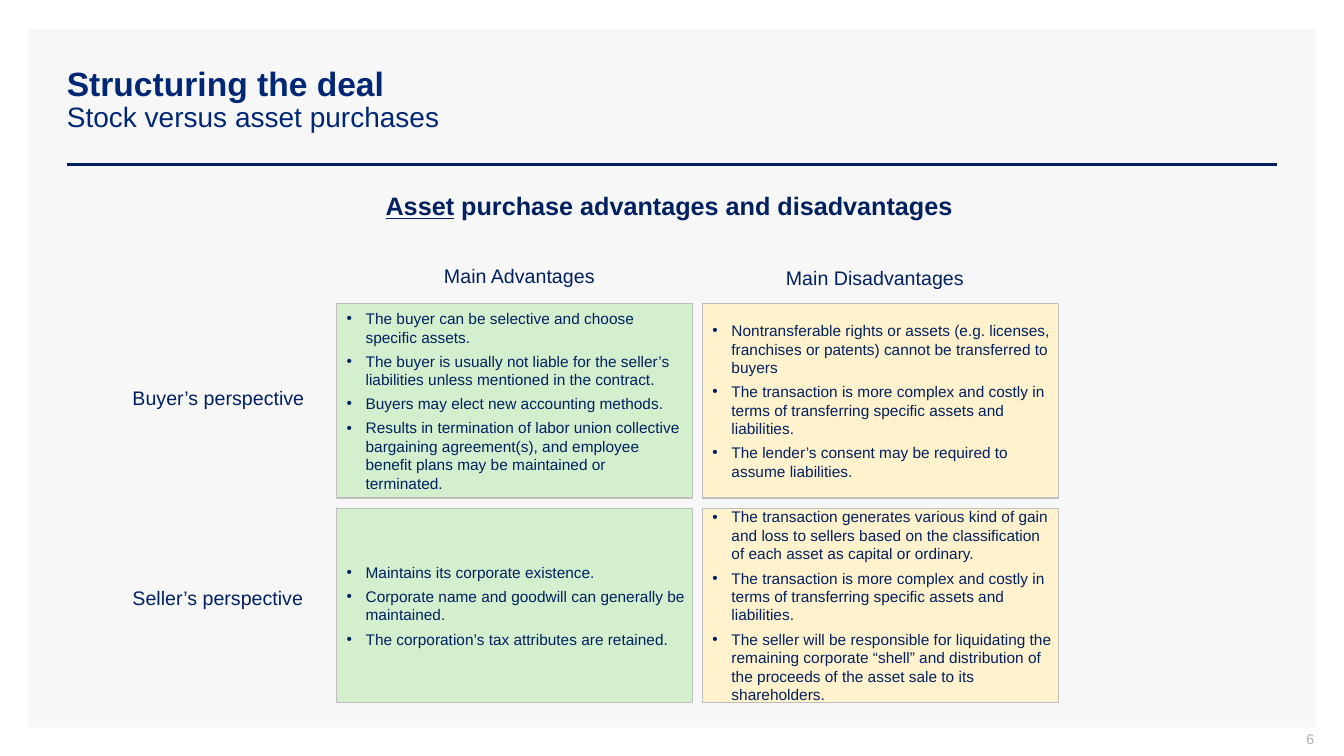
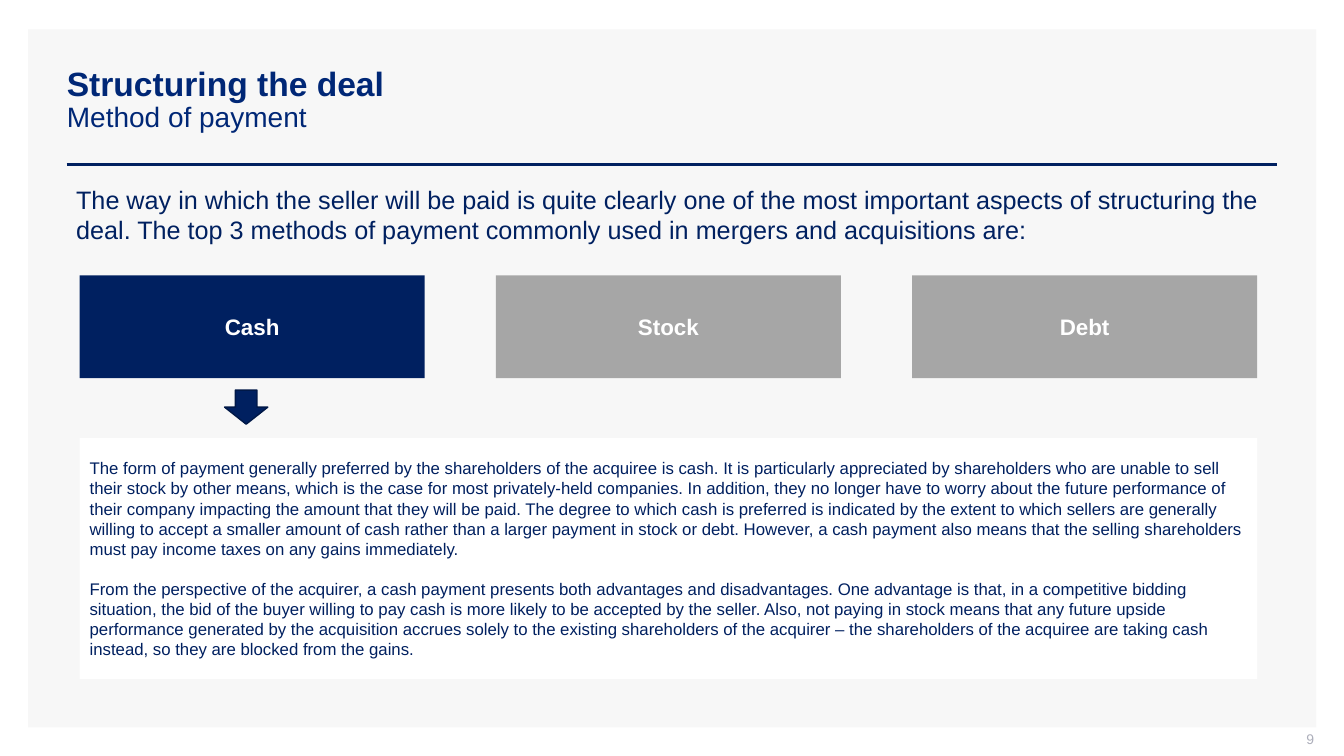
from typing import NamedTuple

from lxml import etree
from pptx import Presentation
from pptx import util as u
from pptx.dml.color import RGBColor
from pptx.enum import shapes, text
from pptx.oxml import ns

FONT = "Arial"
NAVY, TITLE_BLUE, ARROW_EDGE = "002060", "002776", "001847"
WHITE, PANEL, GREY, EDGE, NUMBER_GREY = "FFFFFF", "F7F7F7", "A6A6A6", "BFBFBF", "ADAFBB"
GREEN, YELLOW = "D3EFCE", "FFF2CC"
LEFT, CENTER, RIGHT = text.PP_ALIGN.LEFT, text.PP_ALIGN.CENTER, text.PP_ALIGN.RIGHT
TOP, MIDDLE = text.MSO_ANCHOR.TOP, text.MSO_ANCHOR.MIDDLE
COMPARISON_LAYOUT, TITLE_ONLY_LAYOUT = 4, 5


class Box(NamedTuple):
    """Left, top, width and height in centimetres."""
    left: float
    top: float
    width: float
    height: float


class Style(NamedTuple):
    size: float
    color: str = NAVY
    bold: bool = False
    align: text.PP_ALIGN = LEFT
    anchor: text.MSO_ANCHOR = TOP


class Label(NamedTuple):
    words: str
    box: Box
    align: text.PP_ALIGN


class Cell(NamedTuple):
    column: int
    row: int
    bullets: list[str]


class Card(NamedTuple):
    words: str
    fill: str


TITLE_BOX = Box(1.43, 1.02, 30.76, 3.02)
NUMBER_BOX = Box(25.5, 18.42, 7.62, 0.53)
CELL_BOX = Box(8.48, 7.65, 8.97, 4.9)
CELL_PITCH_X, CELL_PITCH_Y = 9.22, 5.16
CARD_BOX = Box(2.01, 6.94, 8.69, 2.59)
CARD_PITCH = 10.49

LABELS = [
    Label("Main Advantages", Box(10.09, 6.52, 6, 0.86), CENTER),
    Label("Main Disadvantages", Box(19.05, 6.58, 6, 0.86), CENTER),
    Label("Buyer’s perspective", Box(3.09, 9.6, 5.2, 0.86), LEFT),
    Label("Seller’s perspective", Box(3.09, 14.64, 5.2, 0.86), LEFT),
]
COMPLEXITY = ("The transaction is more complex and costly in terms of transferring "
              "specific assets and liabilities.")
CELLS = [
    Cell(0, 0, [
        "The buyer can be selective and choose specific assets.",
        "The buyer is usually not liable for the seller’s liabilities unless "
        "mentioned in the contract.",
        "Buyers may elect new accounting methods.",
        "Results in termination of labor union collective bargaining agreement(s), "
        "and employee benefit plans may be maintained or terminated.",
    ]),
    Cell(1, 0, [
        "Nontransferable rights or assets (e.g. licenses, franchises or patents) "
        "cannot be transferred to buyers",
        COMPLEXITY,
        "The lender’s consent may be required to assume liabilities.",
    ]),
    Cell(0, 1, [
        "Maintains its corporate existence.",
        "Corporate name and goodwill can generally be maintained.",
        "The corporation’s tax attributes are retained.",
    ]),
    Cell(1, 1, [
        "The transaction generates various kind of gain and loss to sellers based on "
        "the classification of each asset as capital or ordinary.",
        COMPLEXITY,
        "The seller will be responsible for liquidating the remaining corporate “shell” "
        "and distribution of the proceeds of the asset sale to its shareholders.",
    ]),
]
CARDS = [Card("Cash", NAVY), Card("Stock", GREY), Card("Debt", GREY)]
INTRO = ("The way in which the seller will be paid is quite clearly one of the most "
         "important aspects of structuring the deal. The top 3 methods of payment "
         "commonly used in mergers and acquisitions are:")
CASH_DETAILS = [
    "The form of payment generally preferred by the shareholders of the acquiree is cash. "
    "It is particularly appreciated by shareholders who are unable to sell their stock by "
    "other means, which is the case for most privately-held companies. In addition, they no "
    "longer have to worry about the future performance of their company impacting the amount "
    "that they will be paid. The degree to which cash is preferred is indicated by the extent "
    "to which sellers are generally willing to accept a smaller amount of cash rather than a "
    "larger payment in stock or debt. However, a cash payment also means that the selling "
    "shareholders must pay income taxes on any gains immediately.",
    "From the perspective of the acquirer, a cash payment presents both advantages and "
    "disadvantages. One advantage is that, in a competitive bidding situation, the bid of the "
    "buyer willing to pay cash is more likely to be accepted by the seller. Also, not paying "
    "in stock means that any future upside performance generated by the acquisition accrues "
    "solely to the existing shareholders of the acquirer – the shareholders of the acquiree "
    "are taking cash instead, so they are blocked from the gains.",
]


def rgb(color: str) -> RGBColor:
    return RGBColor.from_string(color)


def place(shape, box: Box) -> None:
    shape.left, shape.top, shape.width, shape.height = map(u.Cm, box)


def paint(shape, fill: str, line: str | None = None, width: float = 0.75) -> None:
    shape.fill.solid()
    shape.fill.fore_color.rgb = rgb(fill)
    if line:
        shape.line.color.rgb = rgb(line)
        shape.line.width = u.Pt(width)
    else:
        shape.line.fill.background()


def format_run(run, size: float, color: str, bold: bool) -> None:
    run.font.name = FONT
    run.font.size = u.Pt(size)
    run.font.bold = bold
    run.font.color.rgb = rgb(color)


def write(shape, words: str, style: Style) -> None:
    """Fill the shape with text, one paragraph per line of words."""
    frame = shape.text_frame
    frame.text = words
    frame.word_wrap = True
    frame.auto_size = text.MSO_AUTO_SIZE.NONE
    frame.vertical_anchor = style.anchor
    for paragraph in frame.paragraphs:
        paragraph.alignment = style.align
        for run in paragraph.runs:
            format_run(run, style.size, style.color, style.bold)


def add_text(slide, box: Box, words: str, style: Style):
    shape = slide.shapes.add_textbox(*map(u.Cm, box))
    write(shape, words, style)
    return shape


def add_block(slide, box: Box, fill: str, line: str | None = None, width: float = 0.75,
              kind=shapes.MSO_SHAPE.RECTANGLE):
    shape = slide.shapes.add_shape(kind, *map(u.Cm, box))
    shape.shadow.inherit = False
    paint(shape, fill, line, width)
    return shape


def add_bullets(paragraphs) -> None:
    for index, paragraph in enumerate(paragraphs):
        properties = paragraph._p.get_or_add_pPr()
        properties.set("marL", str(u.Cm(0.48)))
        properties.set("indent", str(-u.Cm(0.48)))
        paragraph.space_before = u.Pt(2 if index else 0)
        paragraph.space_after = u.Pt(2)
        color = etree.SubElement(properties, ns.qn("a:buClr"))
        etree.SubElement(color, ns.qn("a:srgbClr"), val=NAVY)
        etree.SubElement(properties, ns.qn("a:buFont"), typeface=FONT)
        etree.SubElement(properties, ns.qn("a:buChar"), char="•")


def style_master(presentation, slide) -> None:
    """Set the title style and move the panel and rule, drawn on slide, to the master."""
    panel = add_block(slide, Box(0.71, 0.74, 32.46, 17.59), PANEL)
    rule = slide.shapes.add_connector(shapes.MSO_CONNECTOR.STRAIGHT,
                                      u.Cm(1.68), u.Cm(4.14), u.Cm(32.18), u.Cm(4.14))
    rule.line.color.rgb = rgb(NAVY)
    rule.line.width = u.Pt(2)
    etree.SubElement(rule.element.spPr, ns.qn("a:effectLst"))
    master = presentation.slide_master
    for offset, shape in enumerate((panel, rule)):
        shape.element.xpath(".//p:cNvPr")[0].set("id", str(100 + offset))
        master.shapes.element.insert(2 + offset, shape.element)
    title_font = master.element.xpath("p:txStyles/p:titleStyle/a:lvl1pPr/a:defRPr")[0]
    title_font.set("sz", "2400")


def add_slide(presentation, layout: int, subtitle: str, number: int):
    slide = presentation.slides.add_slide(presentation.slide_layouts[layout])
    title = slide.shapes.title
    place(title, TITLE_BOX)
    write(title, f"Structuring the deal\v{subtitle}", Style(24, TITLE_BLUE, True, anchor=MIDDLE))
    paragraph = title.text_frame.paragraphs[0]
    paragraph.line_spacing = 0.9
    format_run(paragraph.runs[1], 20, TITLE_BLUE, False)
    footer = add_text(slide, NUMBER_BOX, str(number),
                      Style(10, NUMBER_GREY, align=RIGHT, anchor=MIDDLE))
    frame = footer.text_frame
    frame.margin_top = frame.margin_right = 0
    return slide


def fill_cell(body, cell: Cell) -> None:
    place(body, CELL_BOX._replace(left=CELL_BOX.left + cell.column * CELL_PITCH_X,
                                  top=CELL_BOX.top + cell.row * CELL_PITCH_Y))
    paint(body, (GREEN, YELLOW)[cell.column], EDGE)
    write(body, "\n".join(cell.bullets), Style(11, anchor=MIDDLE))
    frame = body.text_frame
    frame.margin_top = frame.margin_bottom = 0
    frame.margin_right = u.Cm(0.15)
    add_bullets(frame.paragraphs)


def fill_comparison(slide) -> None:
    heading = add_text(slide, Box(9.08, 4.67, 15.57, 1.02), "Asset",
                       Style(18, bold=True, align=CENTER))
    paragraph = heading.text_frame.paragraphs[0]
    paragraph.runs[0].font.underline = True
    rest = paragraph.add_run()
    rest.text = " purchase advantages and disadvantages"
    format_run(rest, 18, NAVY, True)
    for label in LABELS:
        add_text(slide, label.box, label.words, Style(14, align=label.align))
    for index, cell in enumerate(CELLS, start=1):
        fill_cell(slide.placeholders[index], cell)


def fill_payment(slide) -> None:
    add_text(slide, Box(1.67, 4.52, 30.51, 1.8), INTRO, Style(18))
    for index, card in enumerate(CARDS):
        box = CARD_BOX._replace(left=CARD_BOX.left + index * CARD_PITCH)
        block = add_block(slide, box, card.fill)
        write(block, card.words, Style(16, WHITE, True, CENTER, MIDDLE))
    add_block(slide, Box(5.66, 9.83, 1.09, 0.86), NAVY, ARROW_EDGE, 1,
              shapes.MSO_SHAPE.DOWN_ARROW)
    details = add_block(slide, Box(2.01, 11.04, 29.67, 6.07), WHITE)
    write(details, "\n".join(CASH_DETAILS), Style(12, anchor=MIDDLE))
    details.text_frame.paragraphs[1].space_before = u.Pt(14)


def main() -> None:
    presentation = Presentation()
    presentation.slide_width, presentation.slide_height = u.Cm(33.87), u.Cm(19.05)
    comparison = add_slide(presentation, COMPARISON_LAYOUT, "Stock versus asset purchases", 6)
    style_master(presentation, comparison)
    fill_comparison(comparison)
    fill_payment(add_slide(presentation, TITLE_ONLY_LAYOUT, "Method of payment", 9))
    presentation.save("out.pptx")


if __name__ == "__main__":
    main()
